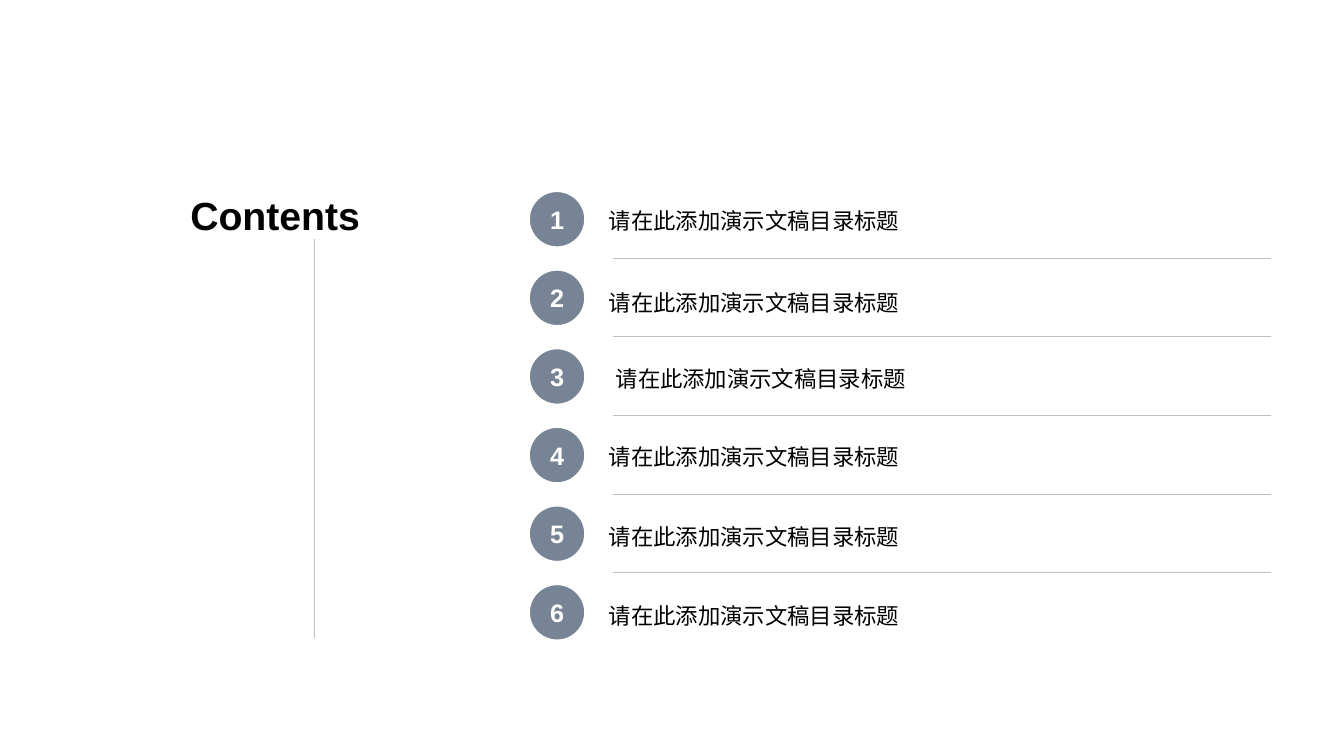
"""Build a contents slide with six numbered entries."""
from lxml import etree
from pptx import Presentation
from pptx.dml.color import RGBColor
from pptx.enum.shapes import MSO_CONNECTOR, MSO_SHAPE
from pptx.enum.text import MSO_ANCHOR, MSO_AUTO_SIZE, PP_ALIGN
from pptx.oxml.ns import qn
from pptx.util import Pt

EMU_PER_PX = 9144
TITLE_ONLY = 5
FONT = "Arial"
BLACK = RGBColor(0x00, 0x00, 0x00)
WHITE = RGBColor(0xFF, 0xFF, 0xFF)
SLATE = RGBColor(0x77, 0x84, 0x95)
GREY = RGBColor(0xBF, 0xBF, 0xBF)

STRAIGHT = MSO_CONNECTOR.STRAIGHT
OVAL = MSO_SHAPE.OVAL
ROUNDED = MSO_SHAPE.ROUNDED_RECTANGLE
TOP, MIDDLE, BOTTOM = MSO_ANCHOR.TOP, MSO_ANCHOR.MIDDLE, MSO_ANCHOR.BOTTOM
LEFT, CENTER, RIGHT = PP_ALIGN.LEFT, PP_ALIGN.CENTER, PP_ALIGN.RIGHT

ENTRY = "请在此添加演示文稿目录标题"
ENTRY_TOPS = [195, 276, 354, 429, 509, 587]
ROUNDED_ENTRY = 3
ROW_PITCH = 78
FIRST_BADGE_TOP = 189
FIRST_DIVIDER = 256


def px(*lengths):
    """Turn px lengths into EMU."""
    return [length * EMU_PER_PX for length in lengths]


def write(shape, text, size, color, align, anchor, bold=False):
    """Put one formatted line of text into a shape."""
    text_frame = shape.text_frame
    text_frame.text = text
    text_frame.word_wrap = True
    text_frame.auto_size = MSO_AUTO_SIZE.NONE
    text_frame.vertical_anchor = anchor
    paragraph = text_frame.paragraphs[0]
    paragraph.alignment = align
    font = paragraph.runs[0].font
    font.name, font.size, font.bold = FONT, Pt(size), bold
    font.color.rgb = color


def add_rule(slide, x1, y1, x2, y2):
    """Add a thin grey line."""
    rule = slide.shapes.add_connector(STRAIGHT, *px(x1, y1, x2, y2))
    rule.line.color.rgb = GREY
    rule.line.width = Pt(0.25)
    etree.SubElement(rule.element.spPr, qn("a:effectLst"))
    return rule


def add_badge(slide, number, top):
    """Add a round number badge."""
    badge = slide.shapes.add_shape(OVAL, *px(524, top, 57, 57))
    badge.shadow.inherit = False
    badge.fill.solid()
    badge.fill.fore_color.rgb = SLATE
    badge.line.color.rgb = WHITE
    badge.line.width = Pt(2.25)
    write(badge, str(number), 18, WHITE, CENTER, MIDDLE, bold=True)


def add_entry(slide, top, rounded):
    """Add the text of one entry, in a rounded frame or a plain box."""
    if rounded:
        entry = slide.shapes.add_shape(ROUNDED, *px(594, top, 666, 47))
        entry.adjustments[0] = 0.5
        entry.shadow.inherit = False
        entry.fill.background()
        entry.line.fill.background()
    else:
        entry = slide.shapes.add_textbox(*px(594, top, 666, 42))
    write(entry, ENTRY, 16, BLACK, LEFT, BOTTOM)


def add_title(slide):
    """Format the title over the upper end of its vertical line."""
    title = slide.shapes.title
    title.left, title.top, title.width, title.height = px(176, 180, 191, 57)
    title.fill.solid()
    title.fill.fore_color.rgb = WHITE
    write(title, "Contents", 28, BLACK, RIGHT, TOP, bold=True)
    title.text_frame.margin_top = px(10)[0]
    rule = add_rule(slide, 312, 186, 312, 633)
    title.element.addprevious(rule.element)


def main():
    """Build and save the presentation."""
    presentation = Presentation()
    presentation.slide_width, presentation.slide_height = px(1333, 750)
    slide = presentation.slides.add_slide(presentation.slide_layouts[TITLE_ONLY])
    add_title(slide)
    for row, entry_top in enumerate(ENTRY_TOPS):
        number = row + 1
        add_badge(slide, number, FIRST_BADGE_TOP + row * ROW_PITCH)
        add_entry(slide, entry_top, number == ROUNDED_ENTRY)
        if number < len(ENTRY_TOPS):
            divider = FIRST_DIVIDER + row * ROW_PITCH
            add_rule(slide, 608, divider, 1261, divider)
    presentation.save("out.pptx")


if __name__ == "__main__":
    main()
